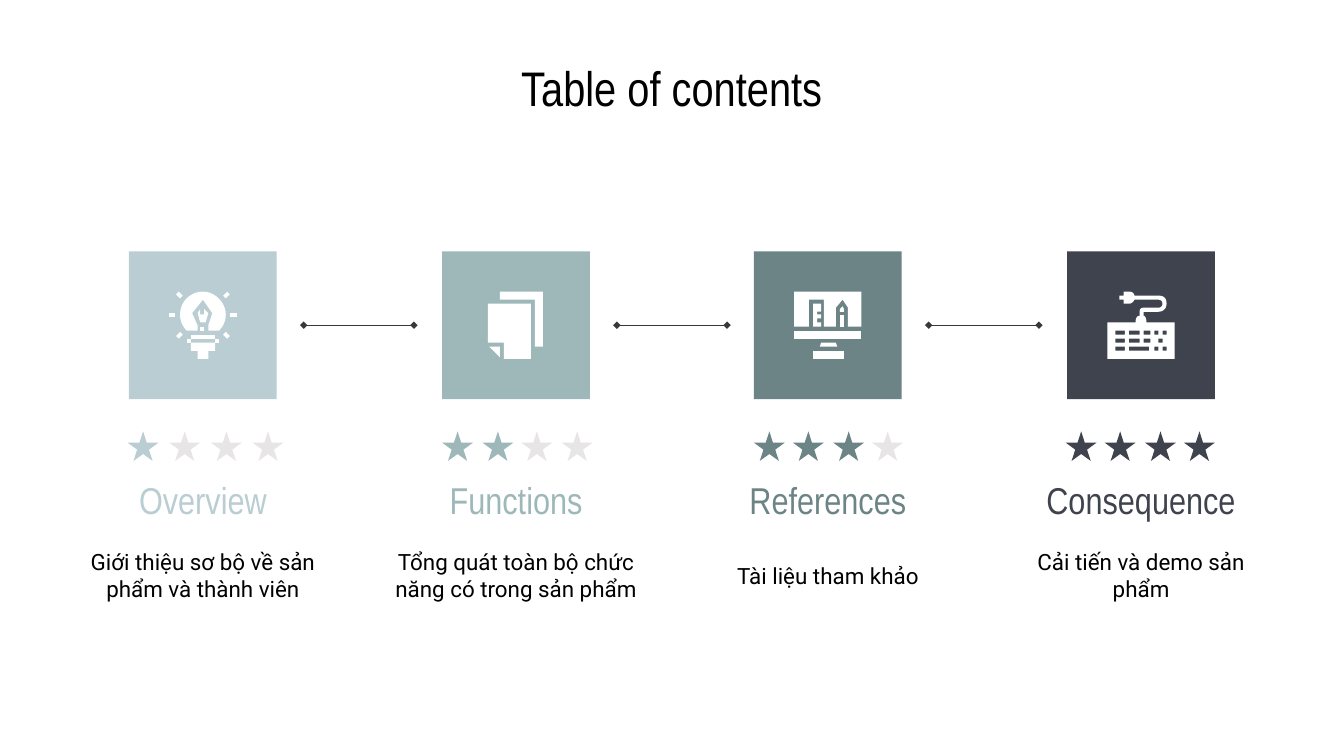
from dataclasses import dataclass

from lxml import etree
from pptx import Presentation
from pptx.dml.color import RGBColor
from pptx.enum.shapes import MSO_CONNECTOR, MSO_SHAPE
from pptx.enum.text import MSO_ANCHOR, MSO_AUTO_SIZE, PP_ALIGN
from pptx.oxml.ns import qn
from pptx.util import Pt

RECTANGLE, STAR = MSO_SHAPE.RECTANGLE, MSO_SHAPE.STAR_5_POINT
STRAIGHT = MSO_CONNECTOR.STRAIGHT
MIDDLE, CENTER = MSO_ANCHOR.MIDDLE, PP_ALIGN.CENTER
NO_AUTOFIT = MSO_AUTO_SIZE.NONE

PX = 9144  # 100 px to the inch
SLIDE_WIDTH = 1000
INSET = 10
TILE_SIZE, TILE_TOP, FIRST_TILE, LAST_TILE = 110, 187, 96, 794
ICON_INSET = 30
TEXT_WIDTH, TEXT_SHIFT = 212, -51
STAR_COUNT = 4
CURVE_STEPS = 10
BLACK, WHITE, LINE_GRAY, STAR_GRAY = "000000", "FFFFFF", "38383B", "E8E5E6"
HEADING_FONT, BODY_FONT = "Arial Narrow", "Roboto"


@dataclass
class Section:
    heading: str
    description: str
    color: str
    icon: list[str]
    star_shift: int  # first star, measured from the tile's left side
    star_span: int   # from the first star to the last one


def px(length: float) -> int:
    return round(length * PX)


def rgb(hex_color: str) -> RGBColor:
    return RGBColor.from_string(hex_color)


def box(x: int, y: int, w: int, h: int) -> str:
    return f"M{x},{y} {x},{y + h} {x + w},{y + h} {x + w},{y}"


# Icon outlines, measured from the icon's top left corner.
# M starts a contour, C takes two control points and an end; other points are lines.
BULB = [
    "M25,0 C15,0 8,8 8,17 C8,22 10,26 13,29 21,29 21,25 17,16 25,6 32,16 29,25 "
    "29,29 37,29 C40,26 42,22 42,17 C42,8 34,0 25,0",
    "M23,13 21,16 23,23 27,23 29,16 26,13 26,17 23,17",
    "M16,38 16,44 21,44 21,50 29,50 29,44 34,44 34,38",
    box(34, 35, 3, 3), box(13, 35, 3, 3), box(16, 32, 18, 3), box(23, 26, 3, 3),
    box(45, 16, 5, 3), box(0, 16, 4, 3),
    "M43,0 40,3 42,5 45,2", "M8,30 5,33 7,35 10,32",
    "M42,30 40,32 43,35 45,33", "M7,0 5,2 8,5 10,3",
]
PAPERS = [
    "M4,9 4,38 16,38 16,50 36,50 36,9",
    "M5,41 13,49 13,41",
    "M13,0 13,6 39,6 39,41 45,41 45,0",
]
MONITOR = [
    "M0,0 0,26 11,26 11,6 22,6 22,26 31,26 31,12 36,6 40,12 40,26 50,26 50,0",
    "M14,9 14,26 20,26 20,23 17,23 17,20 20,20 20,17 17,17 17,15 20,15 20,9",
    "M36,11 34,13 34,15 37,15 37,13", box(34, 17, 3, 9),
    box(0, 29, 50, 6), "M20,38 19,41 32,41 31,38", box(14, 44, 23, 6),
]
KEY_ROWS = {  # top: (left, width) of each key
    29: [(6, 7), (16, 8), (27, 5), (35, 3), (41, 3)],
    35: [(6, 7), (16, 8), (27, 5), (38, 3)],
    41: [(6, 7), (16, 15), (35, 3), (41, 3)],
}
KEYS = [box(x, y, w, 3) for y, row in KEY_ROWS.items() for x, w in row]
KEYBOARD = [" ".join(KEYS + [
    "M12,0 12,3 9,3 9,6 12,6 12,9 16,9 C18,9 20,7 20,6 38,6 C42,6 42,12 38,12 27,12 "
    "C25,12 24,13 24,15 24,18 C22,18 21,20 21,22 21,23 0,23 0,50 50,50 50,23 29,23 "
    "29,22 C29,20 28,18 27,18 27,15 38,15 C42,15 44,12 44,9 C44,5 42,3 38,3 20,3 "
    "C20,1 18,0 16,0"])]

SECTIONS = [
    Section("Overview", "Giới thiệu sơ bộ về sản phẩm và thành viên", "B9CDD3", BULB, -1, 93),
    Section("Functions", "Tổng quát toàn bộ chức năng có trong sản phẩm", "9EB8BA", PAPERS, 0, 89),
    Section("References", "Tài liệu tham khảo", "6C8486", MONITOR, 0, 88),
    Section("Consequence", "Cải tiến và demo sản phẩm", "3E434E", KEYBOARD, -1, 88),
]


def paint(shape, color: str) -> None:
    shape.shadow.inherit = False
    shape.fill.solid()
    shape.fill.fore_color.rgb = rgb(color)
    shape.line.fill.background()


def draw_preset(slide, preset, x: int, y: int, w: int, h: int, color: str) -> None:
    paint(slide.shapes.add_shape(preset, px(x), px(y), px(w), px(h)), color)


def contours(outline: str) -> list[list[tuple[float, float]]]:
    """Turn an outline into lists of points, with curves cut into short lines."""
    result = []
    tokens = iter(outline.split())
    for token in tokens:
        x, y = map(int, token.lstrip("MC").split(","))
        if token.startswith("M"):
            result.append([(x, y)])
        elif token.startswith("C"):
            handle, end = (tuple(map(int, next(tokens).split(","))) for _ in range(2))
            curve = list(zip(result[-1][-1], (x, y), handle, end))
            for step in range(1, CURVE_STEPS + 1):
                t = step / CURVE_STEPS
                u = 1 - t
                result[-1].append(tuple(
                    u**3 * a + 3 * u * u * t * b + 3 * u * t * t * c + t**3 * d
                    for a, b, c, d in curve))
        else:
            result[-1].append((x, y))
    return result


def draw_icon(slide, icon: list[str], left: int, top: int) -> None:
    for outline in icon:
        builder = None
        for contour in contours(outline):
            start, *rest = [(px(left + x), px(top + y)) for x, y in contour]
            if builder is None:
                builder = slide.shapes.build_freeform(*start, scale=1.0)
            else:
                builder.move_to(*start)
            builder.add_line_segments(rest, close=True)
        paint(builder.convert_to_shape(), WHITE)


def write(shape, text: str, size: int, font: str, color: str) -> None:
    frame = shape.text_frame
    frame_format = {"word_wrap": True, "auto_size": NO_AUTOFIT, "vertical_anchor": MIDDLE}
    frame_format |= {f"margin_{side}": px(INSET) for side in ("left", "top", "right", "bottom")}
    for key, value in frame_format.items():
        setattr(frame, key, value)
    paragraph = frame.paragraphs[0]
    paragraph.alignment = CENTER
    run = paragraph.add_run()
    run.text = text
    for key, value in {"size": Pt(size), "name": font, "bold": False}.items():
        setattr(run.font, key, value)
    run.font.color.rgb = rgb(color)


def draw_link(slide, start: int, end: int, y: int) -> None:
    link = slide.shapes.add_connector(STRAIGHT, px(start), px(y), px(end), px(y))
    link.line.width = Pt(0.75)
    link.line.color.rgb = rgb(LINE_GRAY)
    outline = link.line._get_or_add_ln()
    for arrowhead in ("a:headEnd", "a:tailEnd"):
        etree.SubElement(outline, qn(arrowhead), type="diamond", w="sm", len="sm")
    etree.SubElement(link._element.spPr, qn("a:effectLst"))


def draw_section(slide, section: Section, index: int, left: int) -> None:
    draw_preset(slide, RECTANGLE, left, TILE_TOP, TILE_SIZE, TILE_SIZE, section.color)
    draw_icon(slide, section.icon, left + ICON_INSET, TILE_TOP + ICON_INSET)
    # Stars: one more is lit in each section
    for star in range(STAR_COUNT):
        x = left + section.star_shift + round(star * section.star_span / (STAR_COUNT - 1))
        draw_preset(slide, STAR, x, 321, 23, 22, section.color if star <= index else STAR_GRAY)
    # Heading and description
    for text, top, height, size, font, color in (
        (section.heading, 353, 37, 20, HEADING_FONT, section.color),
        (section.description, 390, 76, 12, BODY_FONT, BLACK),
    ):
        label = slide.shapes.add_textbox(px(left + TEXT_SHIFT), px(top), px(TEXT_WIDTH), px(height))
        write(label, text, size, font, color)


def main() -> None:
    deck = Presentation()
    deck.slide_width = px(SLIDE_WIDTH)
    deck.slide_height = px(SLIDE_WIDTH * 9 / 16)
    slide = deck.slides.add_slide(deck.slide_layouts[5])

    # Title
    title = slide.shapes.title
    for key, value in {"left": 45, "top": 33, "width": 910, "height": 63}.items():
        setattr(title, key, px(value))
    write(title, "Table of contents", 26, HEADING_FONT, BLACK)

    # Sections, with a link after each but the last
    last = len(SECTIONS) - 1
    for index, section in enumerate(SECTIONS):
        left = round(FIRST_TILE + index * (LAST_TILE - FIRST_TILE) / last)
        draw_section(slide, section, index, left)
        if index < last:
            draw_link(slide, left + 130, left + 212, TILE_TOP + TILE_SIZE // 2)

    deck.save("out.pptx")


if __name__ == "__main__":
    main()
